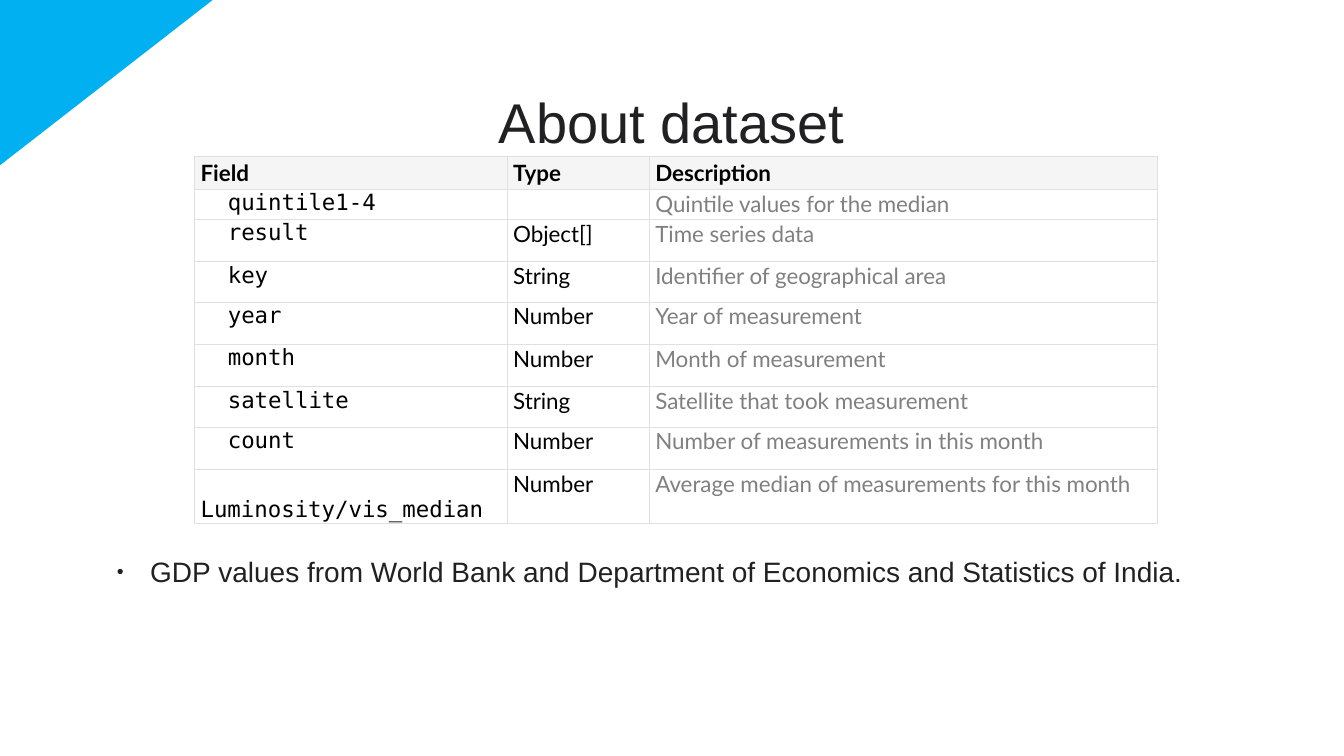
import lxml.etree
import pptx
import pptx.dml.color
import pptx.enum.shapes
import pptx.enum.text
import pptx.oxml.ns
import pptx.util

Inches = pptx.util.Inches
Pt = pptx.util.Pt
Anchor = pptx.enum.text.MSO_ANCHOR

COLORS = {
    "accent": "00B0F0",
    "heading": "212123",
    "black": "000000",
    "gray": "808080",
    "border": "E0E0E0",
    "header": "F5F5F5",
    "white": "FFFFFF",
}

COLUMN_WIDTHS = [3.1, 1.41, 5.04]
ROW_HEIGHTS = [0.32, 0.29, 0.42, 0.4, 0.42, 0.42, 0.4, 0.42, 0.54]
HEADER = ["Field", "Type", "Description"]
FIELDS = [
    ["quintile1-4", "", "Quintile values for the median"],
    ["result", "Object[]", "Time series data"],
    ["key", "String", "Identifier of geographical area"],
    ["year", "Number", "Year of measurement"],
    ["month", "Number", "Month of measurement"],
    ["satellite", "String", "Satellite that took measurement"],
    ["count", "Number", "Number of measurements in this month"],
    ["Luminosity/vis_median", "Number", "Average median of measurements for this month"],
]


def rgb(name):
    return pptx.dml.color.RGBColor.from_string(COLORS[name])


def add_element(parent, tag, **attributes):
    element = lxml.etree.SubElement(parent, pptx.oxml.ns.qn(tag))
    for key, value in attributes.items():
        element.set(key, str(value))
    return element


def add_color(parent, name, alpha=None):
    color = add_element(parent, "a:srgbClr", val=COLORS[name])
    if alpha is not None:
        add_element(color, "a:alpha", val=alpha * 1000)


def write_text(frame, text, font="Lato", size=16, color="black", bold=False,
               align=None, shadow=False):
    """Fill the first paragraph of a text frame and return it."""
    paragraph = frame.paragraphs[0]
    paragraph.alignment = align
    run = paragraph.add_run()
    run.text = text
    run.font.size = Pt(size)
    run.font.bold = bold
    run.font.color.rgb = rgb(color)
    if shadow:
        effects = add_element(run.font._element, "a:effectLst")
        outer = add_element(effects, "a:outerShdw", blurRad=Pt(3), dist=Pt(3),
                            dir=2700000, algn="tl", rotWithShape=0)
        add_color(outer, "black", alpha=40)
    run.font.name = font
    return paragraph


class DatasetSlide:
    """Holds the shared style and the current slide."""

    heading_style = {"font": "Arial", "color": "heading", "shadow": True}

    def __init__(self, presentation):
        self.slide = presentation.slides.add_slide(presentation.slide_layouts[1])

    def place(self, shape, left, top, width, height):
        shape.left, shape.top = Inches(left), Inches(top)
        shape.width, shape.height = Inches(width), Inches(height)

    def corner(self, width, height):
        shape = self.slide.shapes.add_shape(
            pptx.enum.shapes.MSO_SHAPE.RIGHT_TRIANGLE, 0, 0, Inches(width), Inches(height))
        shape.shadow.inherit = False
        shape.fill.solid()
        shape.fill.fore_color.rgb = rgb("accent")
        shape.line.fill.background()
        shape._element.spPr.xfrm.set("flipV", "1")

    def title(self, text, *box):
        shape = self.slide.shapes.title
        self.place(shape, *box)
        shape.text_frame.vertical_anchor = Anchor.MIDDLE
        write_text(shape.text_frame, text, size=40,
                   align=pptx.enum.text.PP_ALIGN.CENTER, **self.heading_style)

    def bullet(self, text, *box):
        shape = self.slide.placeholders[1]
        self.place(shape, *box)
        shape.text_frame.vertical_anchor = Anchor.TOP
        paragraph = write_text(shape.text_frame, text, size=20, **self.heading_style)
        paragraph.space_after = Pt(6)
        paragraph.space_before = Pt(4)
        properties = paragraph._p.get_or_add_pPr()
        properties.set("marL", str(Inches(0.38)))
        properties.set("indent", str(Inches(-0.33)))
        add_color(add_element(properties, "a:buClr"), "heading")
        add_element(properties, "a:buSzPct", val=70000)
        add_element(properties, "a:buFont", typeface="Arial")
        add_element(properties, "a:buChar", char="•")

    def cell(self, cell, text, fill="white", anchor=Anchor.TOP, margin=0.01,
             indent=0, **text_format):
        properties = cell._tc.get_or_add_tcPr()
        for side in ("a:lnL", "a:lnR", "a:lnT", "a:lnB"):
            line = add_element(properties, side, w=Pt(0.6))
            add_color(add_element(line, "a:solidFill"), "border")
        cell.fill.solid()
        cell.fill.fore_color.rgb = rgb(fill)
        cell.vertical_anchor = anchor
        cell.margin_left = cell.margin_right = Inches(0.06)
        cell.margin_top = cell.margin_bottom = Inches(margin)
        paragraph = write_text(cell.text_frame, text, **text_format)
        if indent:
            paragraph._p.get_or_add_pPr().set("marL", str(Inches(indent)))

    def table(self, left, top):
        frame = self.slide.shapes.add_table(
            len(ROW_HEIGHTS), len(COLUMN_WIDTHS), Inches(left), Inches(top),
            Inches(sum(COLUMN_WIDTHS)), Inches(sum(ROW_HEIGHTS)))
        table = frame.table
        table.first_row = table.horz_banding = False
        for column, width in zip(table.columns, COLUMN_WIDTHS):
            column.width = Inches(width)
        for row, height in zip(table.rows, ROW_HEIGHTS):
            row.height = Inches(height)

        # Header row
        for cell, text in zip(table.rows[0].cells, HEADER):
            self.cell(cell, text, fill="header", anchor=Anchor.MIDDLE,
                      margin=0.03, bold=True)

        # Field rows; the longest name sits unindented at the bottom of its cell
        for index, (field, kind, description) in enumerate(FIELDS, start=1):
            name_cell, type_cell, description_cell = table.rows[index].cells
            last = index == len(FIELDS)
            self.cell(name_cell, field, font="DejaVu Sans Mono",
                      indent=0 if last else 0.27,
                      anchor=Anchor.BOTTOM if last else Anchor.TOP)
            self.cell(type_cell, kind)
            self.cell(description_cell, description, color="gray")


def main():
    presentation = pptx.Presentation()
    presentation.slide_width = Inches(13.33)
    presentation.slide_height = Inches(7.5)

    dataset = DatasetSlide(presentation)
    dataset.corner(2.11, 1.64)
    dataset.title("About dataset", 1, 0.67, 11.32, 1.06)
    dataset.bullet("GDP values from World Bank and Department of Economics "
                   "and Statistics of India.", 1.01, 5.45, 11.32, 1.05)
    dataset.table(1.93, 1.55)
    presentation.save("out.pptx")


if __name__ == "__main__":
    main()
